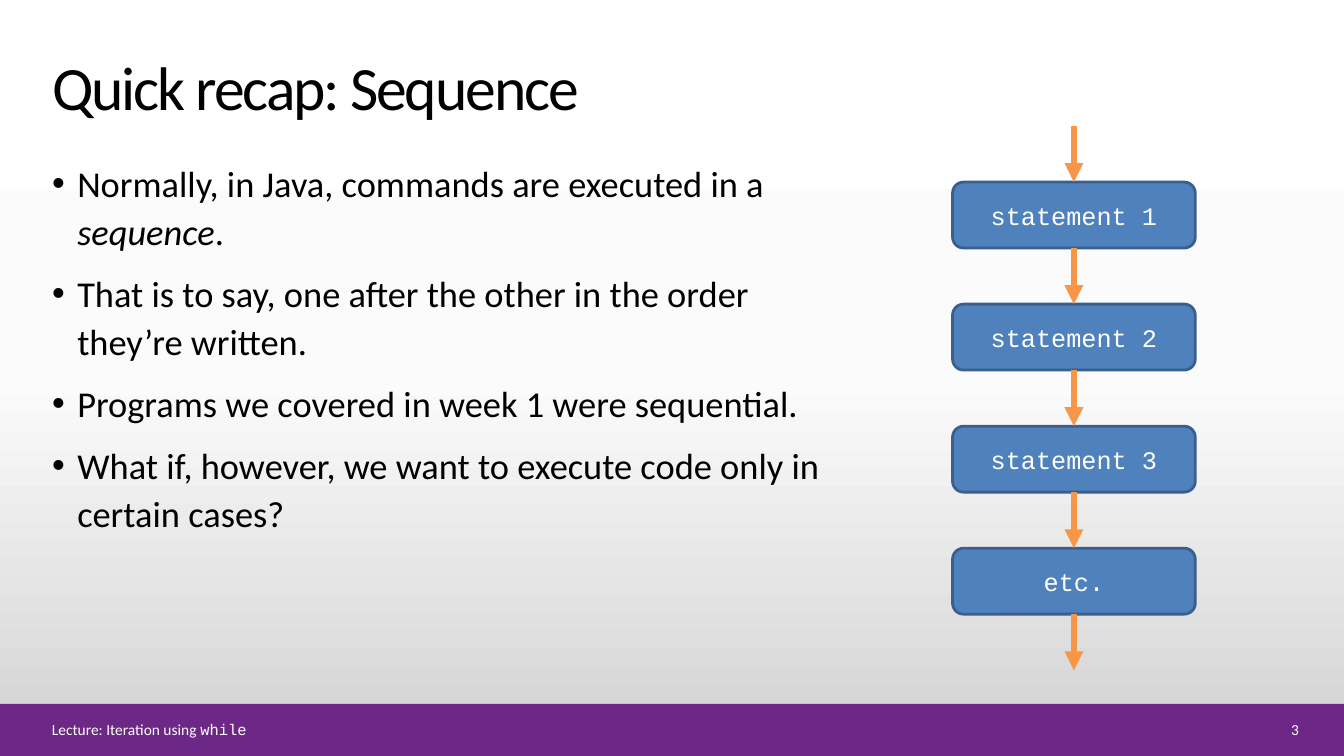
import copy
import pptx
import pptx.dml.color
import pptx.enum.shapes
import pptx.enum.text
import pptx.oxml.ns
import pptx.oxml.xmlchemy
import pptx.util

COLS, ROWS = 160, 90
CELL = pptx.util.Pt(6)
HUES = {
    "band": "6C2787", "text": "000000", "light": "FFFFFF",
    "step": "4F81BD", "edge": "3A5F8C", "arrow": "F79646",
}
SHADES = [(0, "FFFFFF"), (0.5, "FBFBFB"), (1, "D1D1D1")]
SANS, MONO = "Calibri", "Courier New"
POINTS = [
    [("Normally, in Java, commands are executed in a ", False),
     ("sequence", True), (".", False)],
    [("That is to say, one after the other in the order they’re written.", False)],
    [("Programs we covered in week 1 were sequential.", False)],
    [("What if, however, we want to execute code only in certain cases?", False)],
]
STEPS = ["statement 1", "statement 2", "statement 3", "etc."]
ALIGN = pptx.enum.text.PP_ALIGN
ANCHOR = pptx.enum.text.MSO_ANCHOR
SHAPE = pptx.enum.shapes.MSO_SHAPE


def grid(*cells):
    """Turn grid cells into lengths."""
    return [round(cell * CELL) for cell in cells]


def rgb(code):
    """Make a colour from a hex string."""
    return pptx.dml.color.RGBColor.from_string(code)


def tag(name, **attrs):
    """Make an XML element with attributes."""
    node = pptx.oxml.xmlchemy.OxmlElement(name)
    for key, value in attrs.items():
        node.set(key, value)
    return node


def style(run, size, hue, face=SANS):
    """Format one run."""
    run.font.size = pptx.util.Pt(size)
    run.font.name = face
    run.font.color.rgb = rgb(HUES[hue])


def place(shape, box):
    """Move a placeholder to a grid box."""
    shape.left, shape.top, shape.width, shape.height = grid(*box)


def shade(slide):
    """Fill the background from light to grey, downwards."""
    fill = slide.background.fill
    fill.gradient()
    fill.gradient_angle = 270
    stops = slide.element.find(".//" + pptx.oxml.ns.qn("a:gsLst"))
    stops.append(copy.deepcopy(stops[0]))
    for stop, (spot, code) in zip(fill.gradient_stops, SHADES):
        stop.position = spot
        stop.color.rgb = rgb(code)


def head(slide, box):
    """Set the title."""
    title = slide.shapes.title
    place(title, box)
    frame = title.text_frame
    frame.text = "Quick recap: Sequence"
    frame.auto_size = pptx.enum.text.MSO_AUTO_SIZE.NONE
    frame.vertical_anchor = ANCHOR.BOTTOM
    para = frame.paragraphs[0]
    para.alignment = ALIGN.LEFT
    run = para.runs[0]
    style(run, 44, "text")
    run.font._element.set("spc", "-150")


def body(slide, box):
    """Set the bullet list."""
    holder = slide.placeholders[1]
    place(holder, box)
    frame = holder.text_frame
    frame.auto_size = pptx.enum.text.MSO_AUTO_SIZE.NONE
    for i, point in enumerate(POINTS):
        para = frame.add_paragraph() if i else frame.paragraphs[0]
        props = para._p.get_or_add_pPr()
        props.set("marL", str(3 * CELL))
        props.set("indent", str(-3 * CELL))
        props.append(tag("a:buFont", typeface="Arial"))
        props.append(tag("a:buChar", char="•"))
        para.line_spacing = 1.1
        para.space_before = pptx.util.Pt(10 if i else 0)
        for words, slant in point:
            run = para.add_run()
            run.text = words
            run.font.italic = slant
            style(run, 26, "text")


def arrow(shapes, x, top, end):
    """Draw an arrow straight down."""
    kind = pptx.enum.shapes.MSO_CONNECTOR.STRAIGHT
    link = shapes.add_connector(kind, *grid(x, top, x, end))
    link.line.color.rgb = rgb(HUES["arrow"])
    link.line.width = pptx.util.Pt(4.5)
    link.line._get_or_add_ln().append(tag("a:tailEnd", type="triangle"))
    link._element.spPr.append(tag("a:effectLst"))


def step(shapes, words, box):
    """Draw one statement box."""
    shape = shapes.add_shape(SHAPE.ROUNDED_RECTANGLE, *grid(*box))
    shape.shadow.inherit = False
    shape.fill.solid()
    shape.fill.fore_color.rgb = rgb(HUES["step"])
    shape.line.color.rgb = rgb(HUES["edge"])
    shape.line.width = pptx.util.Pt(2)
    frame = shape.text_frame
    frame.text = words
    frame.vertical_anchor = ANCHOR.MIDDLE
    frame.paragraphs[0].alignment = ALIGN.CENTER
    style(frame.paragraphs[0].runs[0], 18, "light", MONO)


def chain(slide, box, tall):
    """Stack the statements with an arrow before and after each."""
    left, top, width, height = box
    gap = (height - len(STEPS) * tall) / (len(STEPS) + 1)
    shapes = slide.shapes.add_group_shape().shapes
    for i, words in enumerate(STEPS):
        step(shapes, words, (left, top + gap + i * (tall + gap), width, tall))
    for i in range(len(STEPS) + 1):
        start = top + i * (tall + gap)
        arrow(shapes, left + width / 2, start, start + gap)


def label(slide, box, parts, align):
    """Write a small line in the footer."""
    frame = slide.shapes.add_textbox(*grid(*box)).text_frame
    frame.word_wrap = True
    frame.vertical_anchor = ANCHOR.MIDDLE
    para = frame.paragraphs[0]
    para.alignment = align
    for words, face in parts:
        run = para.add_run()
        run.text = words
        style(run, 11, "light", face)


def foot(slide, box):
    """Draw the footer band with its label and page number."""
    left, top, width, height = box
    band = slide.shapes.add_shape(SHAPE.RECTANGLE, *grid(*box))
    band.shadow.inherit = False
    band.fill.solid()
    band.fill.fore_color.rgb = rgb(HUES["band"])
    band.line.fill.background()
    row, tall = top + 1.6, 2.8
    label(slide, (left + width - 13.2, row, 9, tall), [("3", SANS)], ALIGN.RIGHT)
    label(slide, (left + 5, row, 139.8, tall),
          [("Lecture: Iteration using ", SANS), ("while", MONO)], ALIGN.LEFT)


def main():
    """Build and save the slide."""
    deck = pptx.Presentation()
    deck.slide_width, deck.slide_height = grid(COLS, ROWS)
    slide = deck.slides.add_slide(deck.slide_layouts[1])
    shade(slide)
    head(slide, (5, 4.8, 124.7, 10.4))
    body(slide, (5, 18.1, 98.5, 63))
    chain(slide, (113.4, 15, 28.9, 64.8), 7.85)
    foot(slide, (0, 83.8, COLS, 6.2))
    deck.save("out.pptx")


if __name__ == "__main__":
    main()
